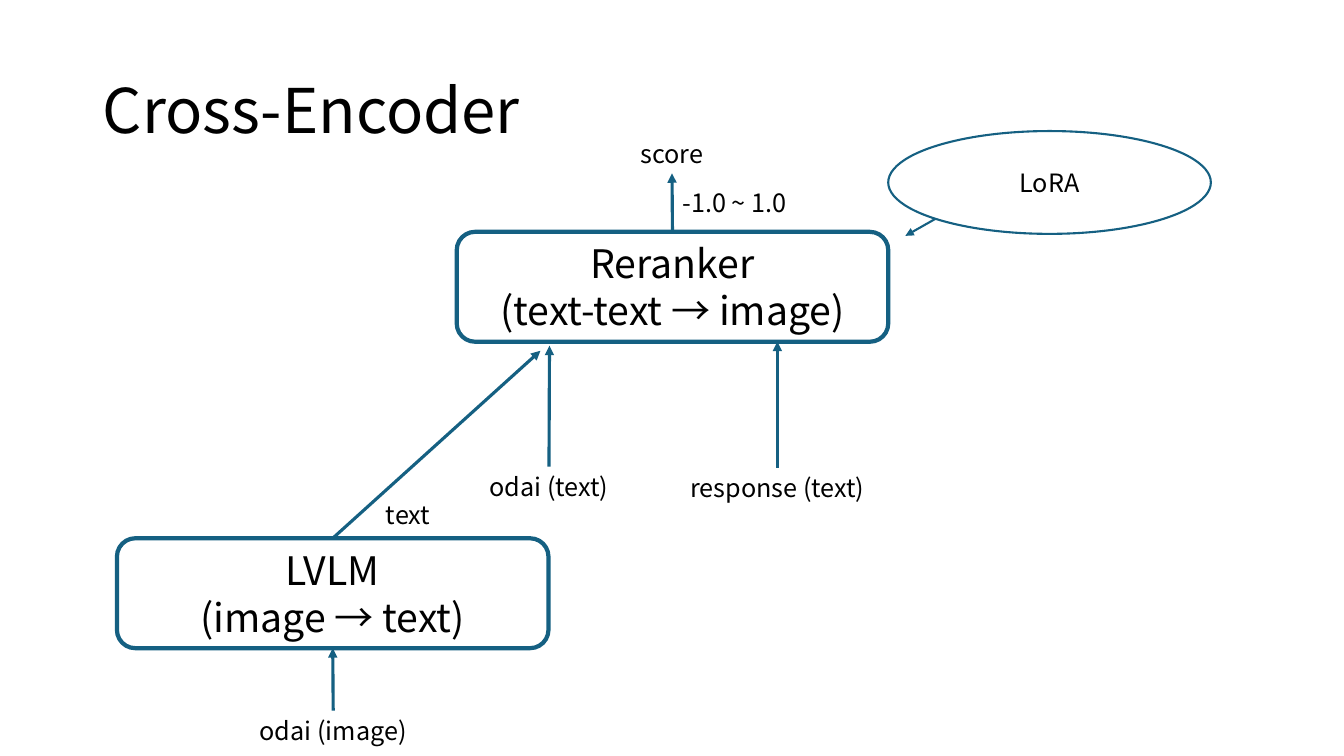
from lxml.etree import SubElement
from pptx import Presentation
from pptx.dml.color import RGBColor
from pptx.enum.shapes import MSO_CONNECTOR as Connector, MSO_SHAPE as Shape
from pptx.enum.text import MSO_ANCHOR as Anchor, MSO_AUTO_SIZE as AutoSize, PP_ALIGN as Align
from pptx.oxml.ns import qn
from pptx.util import Inches, Pt

COLORS = {"ink": "000000", "accent": "156082"}
FONT = "Noto Sans CJK JP"
COLUMNS, ROWS = 13.33, 7.5
CELL = Inches(1)
BOX_SIZE = (4.28, 1.09)
LABEL_HEIGHT = 0.4
TOP, BOTTOM = 0, 2


def color(name):
    """Return a palette colour."""
    return RGBColor.from_string(COLORS[name])


def cells(*counts):
    """Turn grid counts into lengths."""
    return [round(count * CELL) for count in counts]


def write(frame, lines, size, align):
    """Fill a text frame with one paragraph per line."""
    frame.text = "\n".join(lines)
    for para in frame.paragraphs:
        para.alignment = align
        para.font.name = FONT
        para.font.size = Pt(size)
        para.font.color.rgb = color("ink")


def add_title(page, text):
    """Place and format the title placeholder."""
    title = page.shapes.title
    title.left, title.top, title.width, title.height = cells(0.92, 0.4, 11.5, 1.45)
    write(title.text_frame, [text], 44, Align.LEFT)
    title.text_frame.vertical_anchor = Anchor.MIDDLE
    title.text_frame.paragraphs[0].line_spacing = 0.9


def add_node(page, kind, corner, extent, lines, size, weight):
    """Add an outlined shape with centred text."""
    node = page.shapes.add_shape(kind, *cells(*corner, *extent))
    node.shadow.inherit = False
    node.fill.background()
    node.line.color.rgb = color("accent")
    node.line.width = Pt(weight)
    node.text_frame.vertical_anchor = Anchor.MIDDLE
    write(node.text_frame, lines, size, Align.CENTER)
    return node


def add_model(page, corner, name, task):
    """Add a rounded model box."""
    return add_node(page, Shape.ROUNDED_RECTANGLE, corner, BOX_SIZE, [name, task], 28, 3)


def add_label(page, corner, width, text, align=Align.CENTER, wrap=False):
    """Add a one-line caption."""
    label = page.shapes.add_textbox(*cells(*corner, width, LABEL_HEIGHT))
    write(label.text_frame, [text], 18, align)
    label.text_frame.word_wrap = wrap
    label.text_frame.auto_size = AutoSize.SHAPE_TO_FIT_TEXT
    return label


def add_arrow(page, start, end, source=None, target=None, weight=2.25):
    """Add an arrow, joined to any given (shape, side)."""
    arrow = page.shapes.add_connector(Connector.STRAIGHT, *cells(*start, *end))
    if source:
        arrow.begin_connect(*source)
    if target:
        arrow.end_connect(*target)
    arrow.line.color.rgb = color("accent")
    arrow.line.width = Pt(weight)
    SubElement(arrow.line._get_or_add_ln(), qn("a:tailEnd"), type="triangle")
    SubElement(arrow._element.spPr, qn("a:effectLst"))


def main():
    """Build the Cross-Encoder slide."""
    deck = Presentation()
    deck.slide_width, deck.slide_height = cells(COLUMNS, ROWS)
    page = deck.slides.add_slide(deck.slide_layouts[5])
    add_title(page, "Cross-Encoder")

    lvlm = add_model(page, (1.16, 5.34), "LVLM", "(image → text)")
    reranker = add_model(page, (4.53, 2.3), "Reranker", "(text-text → image)")
    add_node(page, Shape.OVAL, (8.81, 1.3), (3.2, 1.02), ["LoRA"], 18, 1.5)

    odai_image = add_label(page, (2.47, 7.05), 1.67, "odai (image)")
    response = add_label(page, (6.72, 4.64), 1.98, "response (text)")
    odai_text = add_label(page, (4.61, 4.63), 1.67, "odai (text)", wrap=True)
    score = add_label(page, (6.25, 1.32), 0.83, "score")
    add_label(page, (6.67, 1.81), 1.33, "-1.0 ~ 1.0", Align.LEFT)
    add_label(page, (3.73, 4.9), 0.64, "text", Align.LEFT)

    add_arrow(page, (3.31, 7.05), (3.31, 6.43), (odai_image, TOP), (lvlm, BOTTOM))
    add_arrow(page, (7.71, 4.64), (7.71, 3.39), (response, TOP))
    add_arrow(page, (6.67, 2.3), (6.67, 1.72), (reranker, TOP), (score, BOTTOM))
    add_arrow(page, (3.31, 5.34), (5.36, 3.48), (lvlm, TOP))
    add_arrow(page, (5.45, 4.63), (5.45, 3.43), (odai_text, TOP))
    add_arrow(page, (9.28, 2.17), (8.98, 2.34), weight=1.5)
    deck.save("out.pptx")


if __name__ == "__main__":
    main()
